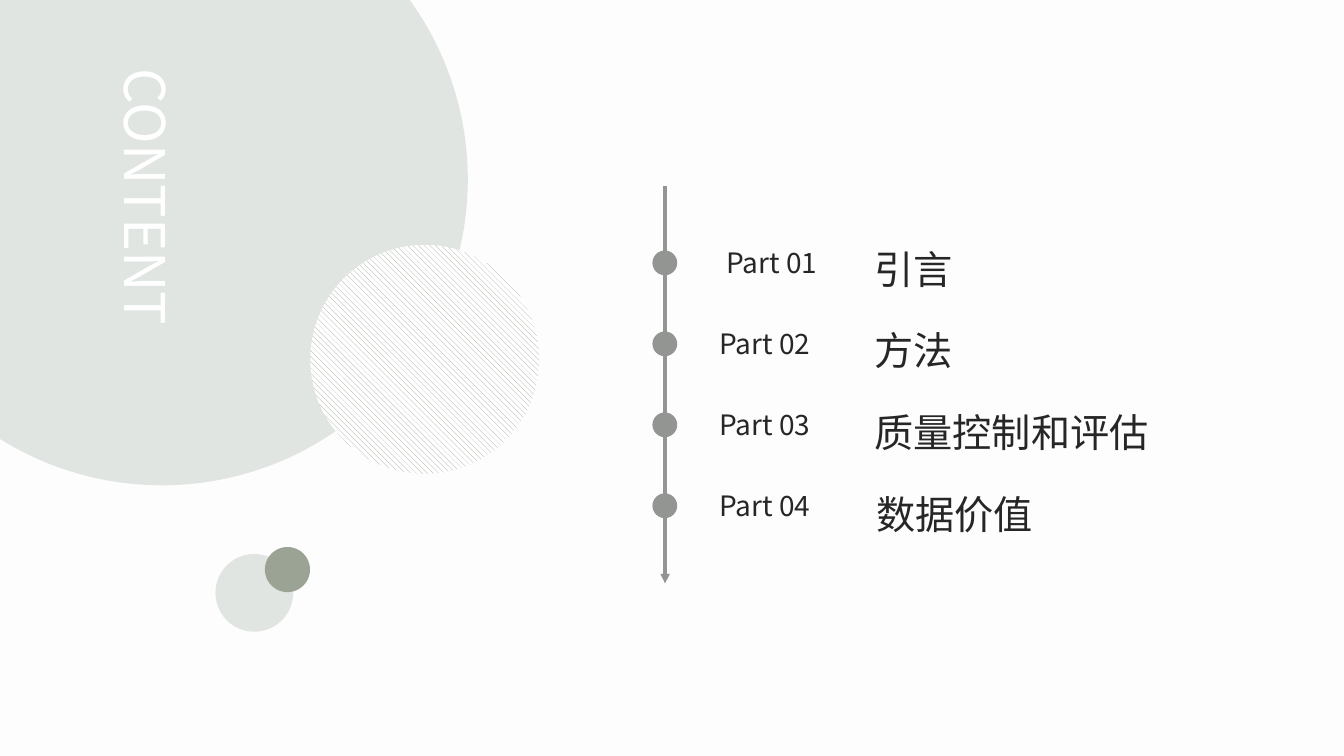
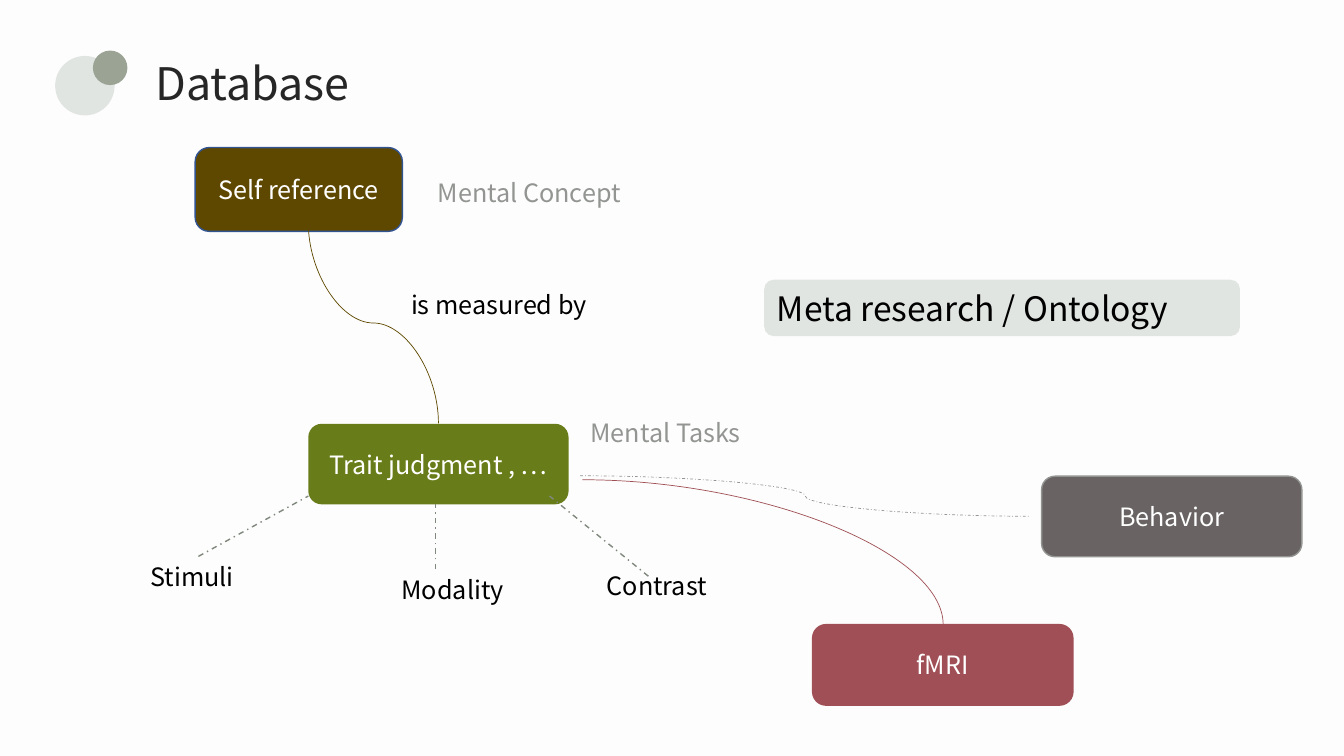
from lxml import etree
from pptx import Presentation
from pptx.dml.color import RGBColor
from pptx.enum import dml, shapes, text
from pptx.oxml.ns import qn
from pptx.util import Cm, Pt

FONT = "Noto Sans CJK SC"
PAPER = RGBColor(0xFD, 0xFD, 0xFD)
WHITE = RGBColor(0xFF, 0xFF, 0xFF)
BLACK = RGBColor(0x00, 0x00, 0x00)
INK = RGBColor(0x26, 0x26, 0x26)
MIST = RGBColor(0xE1, 0xE5, 0xE2)
SAGE = RGBColor(0x9A, 0xA3, 0x94)
GREY = RGBColor(0x92, 0x95, 0x91)
MOSS = RGBColor(0x80, 0x89, 0x7D)
BROWN = RGBColor(0x5E, 0x48, 0x00)
OLIVE = RGBColor(0x68, 0x7C, 0x19)
ROSE = RGBColor(0x9F, 0x4F, 0x55)
STONE = RGBColor(0x69, 0x63, 0x63)
BLUE = RGBColor(0x32, 0x54, 0x91)

OVAL = shapes.MSO_SHAPE.OVAL
CARD = shapes.MSO_SHAPE.ROUNDED_RECTANGLE
STRAIGHT = shapes.MSO_CONNECTOR.STRAIGHT
CURVE = shapes.MSO_CONNECTOR.CURVE
DASH_DOT = dml.MSO_LINE.DASH_DOT
TOP, MIDDLE = text.MSO_ANCHOR.TOP, text.MSO_ANCHOR.MIDDLE
LEFT, CENTER = text.PP_ALIGN.LEFT, text.PP_ALIGN.CENTER


def draw(page, kind, place, fill, outline=None):
    shape = page.shapes.add_shape(kind, *map(Cm, place))
    shape.shadow.inherit = False
    shape.fill.solid()
    shape.fill.fore_color.rgb = fill
    if outline is None:
        shape.line.fill.background()
    else:
        shape.line.color.rgb = outline
        shape.line.width = Pt(1)
    return shape


def write(box, words, size, color, anchor=TOP, align=LEFT):
    frame = box.text_frame
    frame.text = words
    frame.word_wrap = True
    frame.auto_size = text.MSO_AUTO_SIZE.NONE
    frame.vertical_anchor = anchor
    para = frame.paragraphs[0]
    para.alignment = align
    para.font.size = Pt(size)
    para.font.name = FONT
    para.font.color.rgb = color
    defaults = para._p.pPr.find(qn("a:defRPr"))
    etree.SubElement(defaults, qn("a:ea"), typeface=FONT)


deck = Presentation()
deck.slide_width, deck.slide_height = Cm(33.87), Cm(19.05)
background = deck.slide_master.background.fill
background.solid()
background.fore_color.rgb = PAPER
title_only = deck.slide_layouts[5]
contents = deck.slides.add_slide(title_only)
database = deck.slides.add_slide(title_only)

for page, left, top, size in [(contents, 5.43, 13.96, 1.96), (database, 1.39, 1.41, 1.5)]:
    draw(page, OVAL, (left, top, size, size), MIST)
    small = 0.58 * size
    draw(page, OVAL, (left + 0.635 * size, top - 0.09 * size, small, small), SAGE)

draw(contents, OVAL, (-3.63, -3.19, 15.42, 15.42), MIST)
hatched = draw(contents, OVAL, (7.82, 6.17, 5.77, 5.77), WHITE)
hatched.fill.patterned()
hatched.fill.pattern = dml.MSO_PATTERN.WIDE_DOWNWARD_DIAGONAL
hatched.fill.fore_color.rgb = SAGE
hatched.fill.back_color.rgb = WHITE

for page, words, size, color, place, anchor, turn in [
    (contents, "CONTENT", 40, WHITE, (0.21, 3.71, 7, 2.54), MIDDLE, 90),
    (database, "Database", 32, INK, (3.66, 1.28, 8, 1.62), TOP, 0),
]:
    title = page.shapes.title
    title.left, title.top, title.width, title.height = map(Cm, place)
    title.rotation = turn
    write(title, words, size, color, anchor)
    page.shapes._spTree.append(title._element)

timeline = contents.shapes.add_connector(STRAIGHT, Cm(16.76), Cm(4.68), Cm(16.76), Cm(14.7))
timeline.line.color.rgb = GREY
timeline.line.width = Pt(2.25)
etree.SubElement(timeline.line._get_or_add_ln(), qn("a:tailEnd"), type="triangle")

agenda = [
    ("Part 01", 18.06, "引言", 21.79),
    ("Part 02", 17.88, "方法", 21.79),
    ("Part 03", 17.88, "质量控制和评估", 21.79),
    ("Part 04", 17.88, "数据价值", 21.84),
]
for row, (part, part_left, heading, heading_left) in enumerate(agenda):
    draw(contents, OVAL, (16.46, 6.33 + 2.04 * row, 0.59, 0.59), GREY, GREY)
    for words, left, top, width, height, size in [
        (part, part_left, 6.07 + 2.04 * row, 3.6, 1.12, 20),
        (heading, heading_left, 6.05 + 2.06 * row, 8.26, 1.45, 28),
    ]:
        box = contents.shapes.add_textbox(Cm(left), Cm(top), Cm(width), Cm(height))
        write(box, words, size, INK)

for words, place, fill, outline in [
    ("Self reference", (4.92, 3.72, 5.22, 2.11), BROWN, BLUE),
    ("Trait judgment , …", (7.77, 10.68, 6.56, 2.03), OLIVE, None),
    ("fMRI", (20.48, 15.74, 6.56, 2.03), ROSE, ROSE),
    ("Behavior", (26.25, 12, 6.56, 2.03), STONE, GREY),
]:
    card = draw(database, CARD, place, fill, outline)
    write(card, words, 18, WHITE, MIDDLE, CENTER)

topic = draw(database, CARD, (19.26, 7.05, 11.99, 1.42), MIST)
write(topic, "Meta research / Ontology", 24, BLACK)

for words, left, top, width, color in [
    ("Mental Concept", 10.78, 4.34, 8.43, GREY),
    ("is measured by", 10.11, 7.16, 8.43, BLACK),
    ("Mental Tasks", 14.63, 10.39, 8.43, GREY),
    ("Stimuli", 3.54, 14.02, 2.92, BLACK),
    ("Modality", 9.87, 14.34, 3.63, BLACK),
    ("Contrast", 15.04, 14.24, 8.43, BLACK),
]:
    label = database.shapes.add_textbox(Cm(left), Cm(top), Cm(width), Cm(1.02))
    write(label, words, 18, color)

for kind, preset, ends, color, width, dash, turn in [
    (CURVE, "curvedConnector3", (11.94, 6.5, 6.88, 9.78), BROWN, 0.5, None, 270),
    (STRAIGHT, "line", (5, 14.02, 7.77, 12.5), MOSS, 1, DASH_DOT, 0),
    (STRAIGHT, "line", (10.97, 14.34, 10.97, 12.7), MOSS, 1, DASH_DOT, 0),
    (STRAIGHT, "line", (16.34, 14.52, 13.85, 12.5), MOSS, 1, DASH_DOT, 0),
    (CURVE, "curvedConnector2", (14.68, 12.09, 23.77, 15.74), ROSE, 0.5, None, 0),
    (CURVE, "curvedConnector3", (14.62, 11.99, 25.97, 13.01), GREY, 0.5, DASH_DOT, 0),
]:
    link = database.shapes.add_connector(kind, *map(Cm, ends))
    link.line.color.rgb = color
    link.line.width = Pt(width)
    if dash is not None:
        link.line.dash_style = dash
    properties = link._element.spPr
    properties.find(qn("a:prstGeom")).set("prst", preset)
    if turn:
        properties.find(qn("a:xfrm")).set("rot", str(turn * 60000))

for page in deck.slides:
    for item in page.shapes:
        if item.shape_type == shapes.MSO_SHAPE_TYPE.LINE:
            etree.SubElement(item._element.spPr, qn("a:effectLst"))

deck.save("out.pptx")
